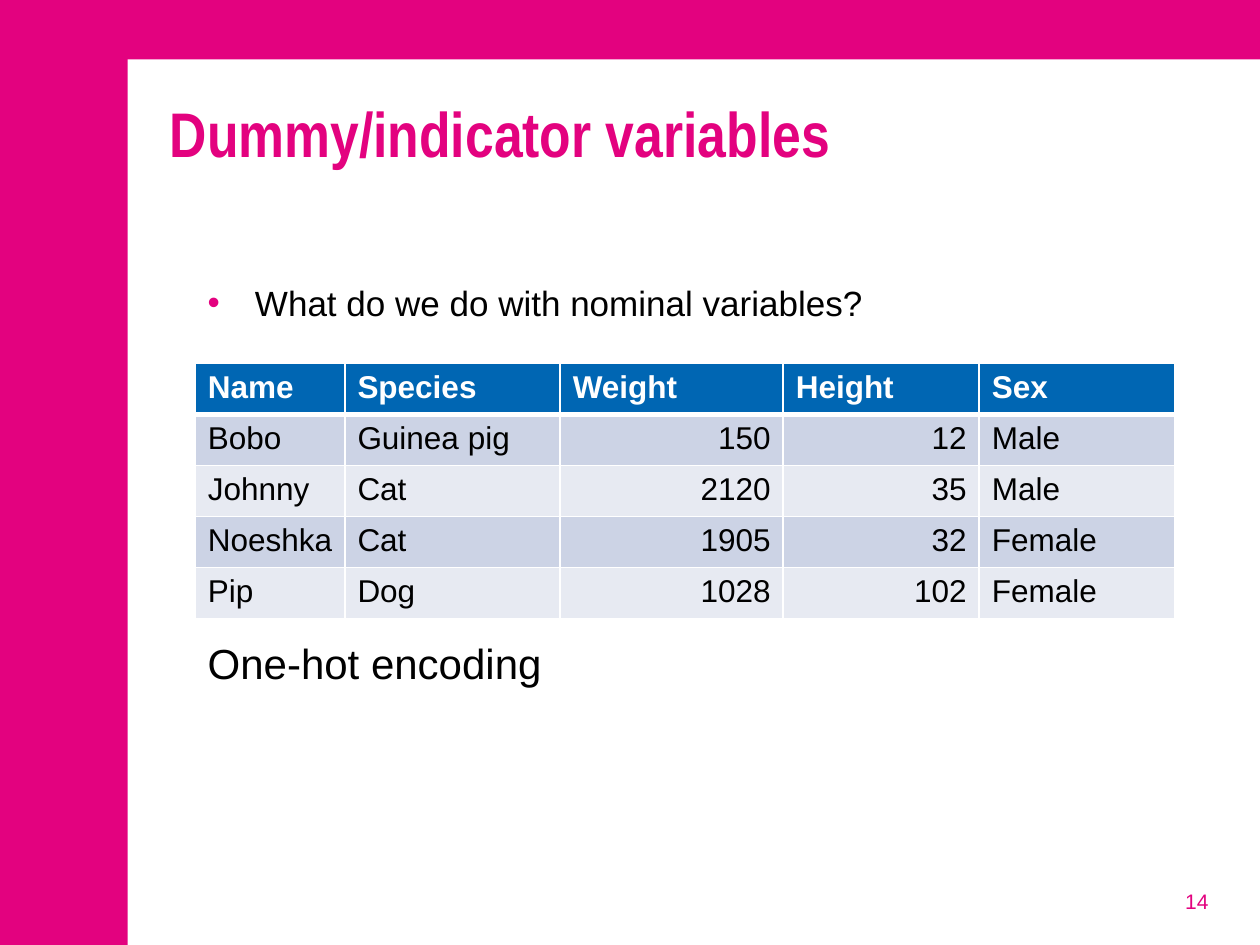
"""Build the slide on dummy and indicator variables."""
from lxml import etree
from pptx import Presentation
from pptx import util as u
from pptx.dml.color import RGBColor
from pptx.enum import shapes, text
from pptx.oxml import ns

Pt = u.Pt
PINK = RGBColor(0xE3, 0x02, 0x7F)
WHITE = RGBColor(0xFF, 0xFF, 0xFF)
BLACK = RGBColor(0, 0, 0)
BLUE = RGBColor(0x00, 0x66, 0xB3)
BANDS = RGBColor(0xCC, 0xD3, 0xE5), RGBColor(0xE7, 0xEA, 0xF2)

TITLE = "Dummy/indicator variables"
QUESTION = "What do we do with nominal variables?"
ANSWER = "One-hot encoding"
PAGE_NUMBER = "14"
ANIMALS = [
    ("Name", "Species", "Weight", "Height", "Sex"),
    ("Bobo", "Guinea pig", 150, 12, "Male"),
    ("Johnny", "Cat", 2120, 35, "Male"),
    ("Noeshka", "Cat", 1905, 32, "Female"),
    ("Pip", "Dog", 1028, 102, "Female"),
]
COLUMN_WIDTHS = [85.5, 123, 127.5, 112, 112]
ROW_HEIGHT = 29.2
LEFT = 111.6


def style(para, size, color, bold=False, name="Arial"):
    font = para.font
    font.size, font.bold, font.name = Pt(size), bold, name
    font.color.rgb = color


def add_text(page, area, words, size, color, **look):
    box = page.shapes.add_textbox(*map(Pt, area))
    box.text_frame.word_wrap = True
    para = box.text_frame.paragraphs[0]
    para.text = words
    style(para, size, color, **look)
    return box.text_frame, para


def add_bullet(para, color, indent):
    props = para._p.get_or_add_pPr()
    props.set("marL", str(Pt(indent)))
    props.set("indent", str(-Pt(indent)))
    tint = etree.SubElement(props, ns.qn("a:buClr"))
    etree.SubElement(tint, ns.qn("a:srgbClr"), val=str(color))
    etree.SubElement(props, ns.qn("a:buFont"), typeface="Arial")
    etree.SubElement(props, ns.qn("a:buChar"), char="•")
    props.append(props.find(ns.qn("a:defRPr")))


def set_borders(cell, color, widths):
    props = cell._tc.get_or_add_tcPr()
    for place, (side, width) in enumerate(widths.items()):
        line = etree.Element(ns.qn(f"a:{side}"), w=str(Pt(width)))
        fill = etree.SubElement(line, ns.qn("a:solidFill"))
        etree.SubElement(fill, ns.qn("a:srgbClr"), val=str(color))
        props.insert(place, line)


def add_animals(page):
    frame = page.shapes.add_table(
        len(ANIMALS), len(COLUMN_WIDTHS), Pt(LEFT), Pt(207.6),
        Pt(sum(COLUMN_WIDTHS)), Pt(ROW_HEIGHT * len(ANIMALS)))
    table = frame.table
    for column, width in zip(table.columns, COLUMN_WIDTHS):
        column.width = Pt(width)
    for i, values in enumerate(ANIMALS):
        table.rows[i].height = Pt(ROW_HEIGHT)
        header = i == 0
        for j, value in enumerate(values):
            cell = table.cell(i, j)
            cell.text = str(value)
            cell.fill.solid()
            cell.fill.fore_color.rgb = BLUE if header else BANDS[(i - 1) % 2]
            para = cell.text_frame.paragraphs[0]
            style(para, 18, WHITE if header else BLACK, bold=header)
            if isinstance(value, int):
                para.alignment = text.PP_ALIGN.RIGHT
            set_borders(cell, WHITE, {
                "lnL": 1, "lnR": 1, "lnT": 3 if i == 1 else 1,
                "lnB": 3 if header else 1})


def main():
    deck = Presentation()
    deck.slide_width, deck.slide_height = Pt(720), Pt(540)
    page = deck.slides.add_slide(deck.slide_layouts[6])
    page.background.fill.solid()
    page.background.fill.fore_color.rgb = PINK

    panel = page.shapes.add_shape(
        shapes.MSO_SHAPE.RECTANGLE, Pt(73), Pt(34), Pt(647), Pt(506))
    panel.shadow.inherit = False
    panel.fill.solid()
    panel.fill.fore_color.rgb = WHITE
    panel.line.fill.background()

    frame, para = add_text(page, (530, 500.4, 167.7, 28.8), PAGE_NUMBER, 12, PINK)
    frame.vertical_anchor = text.MSO_ANCHOR.MIDDLE
    para.alignment = text.PP_ALIGN.RIGHT

    add_text(page, (90, 50.4, 607.7, 96.5), TITLE, 36, PINK,
             bold=True, name="Arial Narrow")

    frame, para = add_text(page, (LEFT, 159.8, 586, 322.6), QUESTION, 20, BLACK)
    para.line_spacing = 0.9
    para.space_before = Pt(2)
    add_bullet(para, PINK, 27)

    add_animals(page)

    frame, para = add_text(page, (LEFT, 360.7, 571.7, 121.7), ANSWER, 24, BLACK)
    para.space_before = Pt(3)

    deck.save("out.pptx")


if __name__ == "__main__":
    main()
